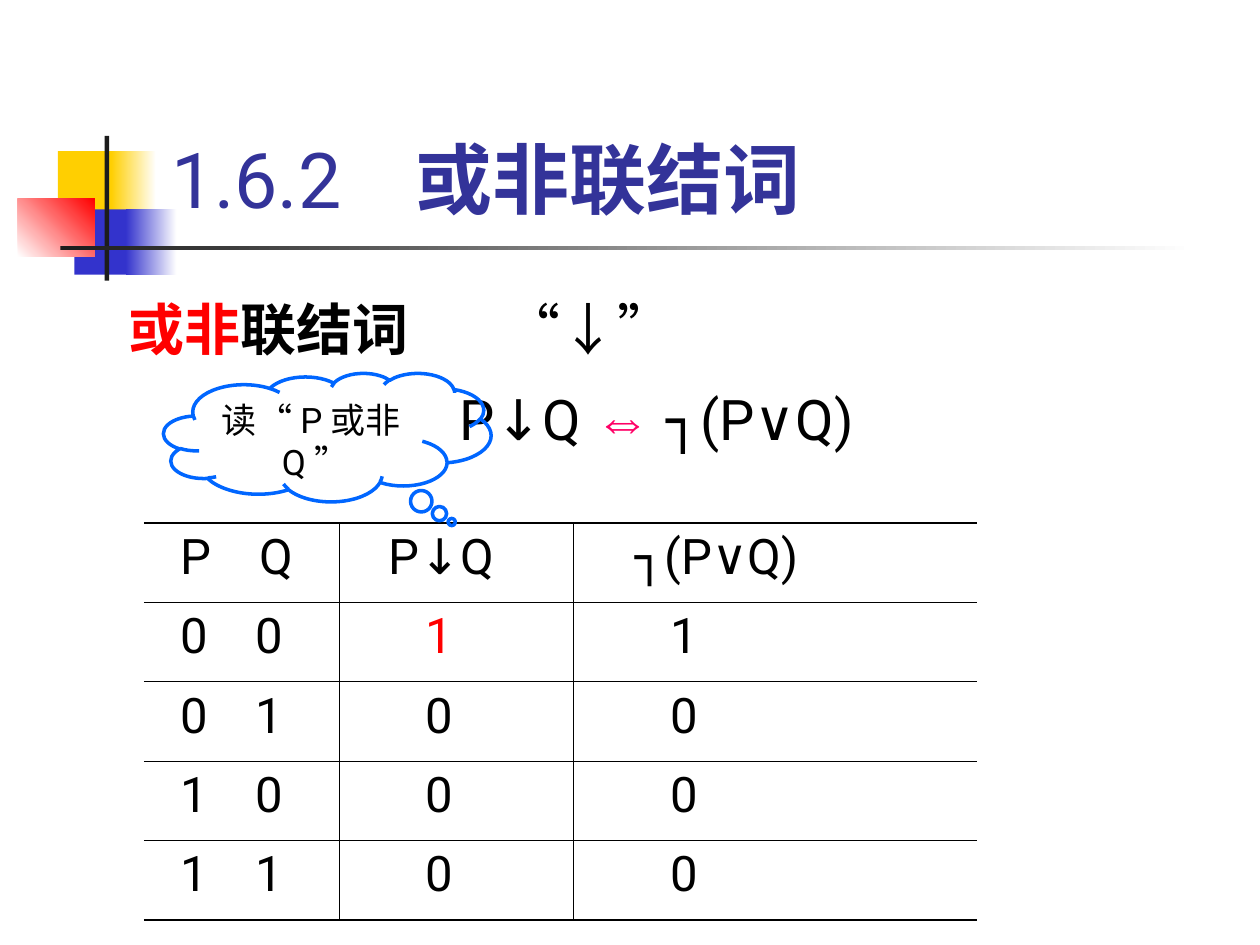
from dataclasses import dataclass
from typing import NamedTuple

from lxml.etree import SubElement as Sub
from pptx import Presentation as Deck
from pptx.dml.color import RGBColor as Rgb
from pptx.enum.shapes import MSO_SHAPE as Kind
from pptx.enum.text import MSO_ANCHOR as Anchor, PP_ALIGN as Align
from pptx.oxml.ns import qn
from pptx.util import Cm, Pt


@dataclass(frozen=True)
class Theme:
    black: str = "000000"
    white: str = "FFFFFF"
    red: str = "FF0000"
    pink: str = "FF0066"
    gold: str = "FFCF01"
    blue: str = "3333CC"
    navy: str = "333399"
    sky: str = "0066FF"
    ink: str = "1C1C1C"
    main: str = "Roboto"
    quote: str = "Arial"
    title: int = 44
    body: int = 32
    grid: int = 28
    note: int = 20
    thin: float = 0.45
    thick: float = 1.08


T = Theme()


class Box(NamedTuple):
    left: float
    top: float
    wide: float
    high: float

    def cm(self) -> tuple:
        return tuple(Cm(n) for n in self)


class Block(NamedTuple):
    box: Box
    start: str
    end: str = ""
    angle: int = 0


class Bit(NamedTuple):
    text: str
    tint: str = T.black
    font: str = T.main
    bold: bool = False


BLOCKS = [
    Block(Box(1.17, 3.05, 1.22, 1.32), T.gold),
    Block(Box(2.24, 3.05, 0.91, 1.32), T.gold, T.white),
    Block(Box(1.5, 4.22, 1.17, 1.32), T.blue),
    Block(Box(2.54, 4.22, 1.02, 1.32), T.blue, T.white),
    Block(Box(0.36, 4.01, 1.55, 1.17), T.white, T.red, 45),
    Block(Box(2.11, 2.74, 0.09, 2.92), T.ink),
    Block(Box(1.22, 4.95, 22.86, 0.09), T.ink, T.white),
]
TITLE = [Bit("1.6.2\t", T.navy), Bit("或非联结词", T.navy, bold=True)]
NAME = [
    Bit("或非", T.red, bold=True),
    Bit("联结词\t", bold=True),
    Bit("“", font=T.quote),
    Bit("↓"),
    Bit("”", font=T.quote),
]
RULE = [Bit("P↓Q "), Bit("⇔ ", T.pink, T.quote), Bit("┐(P∨Q)")]
NOTE = [Bit("读"), Bit("“", font=T.quote), Bit("P或非Q"), Bit("”", font=T.quote)]
ROWS = [("P\tQ", "P↓Q", "┐(P∨Q)")] + [
    (f"{p}\t{q}", str(1 - (p | q)), str(1 - (p | q))) for p in (0, 1) for q in (0, 1)
]
COLS = (3.94, 4.72, 8.13)
HEAD_PADS = (0.74, 0.99, 1.24)
BODY_PADS = (0.74, 1.73, 1.96)


def write(para, bits: list[Bit], size: int, tab: float = 0) -> None:
    if tab:
        stops = Sub(para._p.get_or_add_pPr(), qn("a:tabLst"))
        Sub(stops, qn("a:tab"), pos=str(Cm(tab)), algn="l")
    for bit in bits:
        run = para.add_run()
        run.text = bit.text
        font = run.font
        font.name, font.size, font.bold = bit.font, Pt(size), bit.bold
        font.color.rgb = Rgb.from_string(bit.tint)


def draw_block(slide, block: Block) -> None:
    shape = slide.shapes.add_shape(Kind.RECTANGLE, *block.box.cm())
    shape.shadow.inherit = False
    shape.line.fill.background()
    fill = shape.fill
    if not block.end:
        fill.solid()
        fill.fore_color.rgb = Rgb.from_string(block.start)
        return
    fill.gradient()
    fill.gradient_angle = block.angle
    for stop, tint, place in zip(fill.gradient_stops, (block.start, block.end), (0, 1)):
        stop.color.rgb = Rgb.from_string(tint)
        stop.position = place


def add_frame(slide, box: Box):
    frame = slide.shapes.add_textbox(*box.cm()).text_frame
    frame.word_wrap = True
    return frame


def draw_text(slide) -> None:
    frame = add_frame(slide, Box(3.2, 0.58, 21.64, 4.06))
    frame.vertical_anchor = Anchor.BOTTOM
    write(frame.paragraphs[0], TITLE, T.title, 4.92)

    frame = add_frame(slide, Box(2.34, 5.61, 22.58, 13.44))
    name, rule = frame.paragraphs[0], frame.add_paragraph()
    name.line_spacing = rule.line_spacing = 1.15
    rule.space_before = Pt(7)
    rule._p.get_or_add_pPr().set("marL", str(Cm(6.68)))
    write(name, NAME, T.body, 7.59)
    write(rule, RULE, T.body)


def draw_edge(cell, side: str, width: float) -> None:
    line = Sub(cell._tc.get_or_add_tcPr(), qn(f"a:ln{side}"), w=str(Pt(width)))
    if width:
        fill = Sub(line, qn("a:solidFill"))
        Sub(fill, qn("a:srgbClr"), val=T.black)
    else:
        Sub(line, qn("a:noFill"))


def draw_grid(slide) -> None:
    size = len(ROWS), len(COLS)
    box = Box(2.9, 10.54, sum(COLS), 1.6 * len(ROWS))
    table = slide.shapes.add_table(*size, *box.cm()).table
    table.first_row = table.horz_banding = False
    for col, wide in zip(table.columns, COLS):
        col.width = Cm(wide)
    for r, row in enumerate(ROWS):
        pads = BODY_PADS if r else HEAD_PADS
        for c, text in enumerate(row):
            cell = table.cell(r, c)
            cell.margin_left = Cm(pads[c])
            draw_edge(cell, "L", T.thin if c else 0)
            draw_edge(cell, "R", T.thin if c < size[1] - 1 else 0)
            draw_edge(cell, "T", T.thin if r else T.thick)
            draw_edge(cell, "B", T.thin if r < size[0] - 1 else T.thick)
            cell.fill.background()
            tint = T.red if (r, c) == (1, 1) else T.black
            tab = 0 if c else 1.52 if r else 1.6
            write(cell.text_frame.paragraphs[0], [Bit(text, tint)], T.grid, tab)


def draw_cloud(slide) -> None:
    cloud = slide.shapes.add_shape(Kind.CLOUD_CALLOUT, *Box(3.3, 7.52, 6.6, 2.59).cm())
    cloud.adjustments[0], cloud.adjustments[1] = 0.38, 0.66
    cloud.shadow.inherit = False
    cloud.fill.background()
    cloud.line.color.rgb = Rgb.from_string(T.sky)
    cloud.line.width = Pt(2)
    frame = cloud.text_frame
    frame.word_wrap = True
    frame.vertical_anchor = Anchor.TOP
    para = frame.paragraphs[0]
    para.alignment = Align.CENTER
    write(para, NOTE, T.note)


def main() -> None:
    deck = Deck()
    deck.slide_width, deck.slide_height = Cm(25.4), Cm(19.05)
    slide = deck.slides.add_slide(deck.slide_layouts[6])
    for block in BLOCKS:
        draw_block(slide, block)
    draw_text(slide)
    draw_grid(slide)
    draw_cloud(slide)
    deck.save("out.pptx")


if __name__ == "__main__":
    main()
